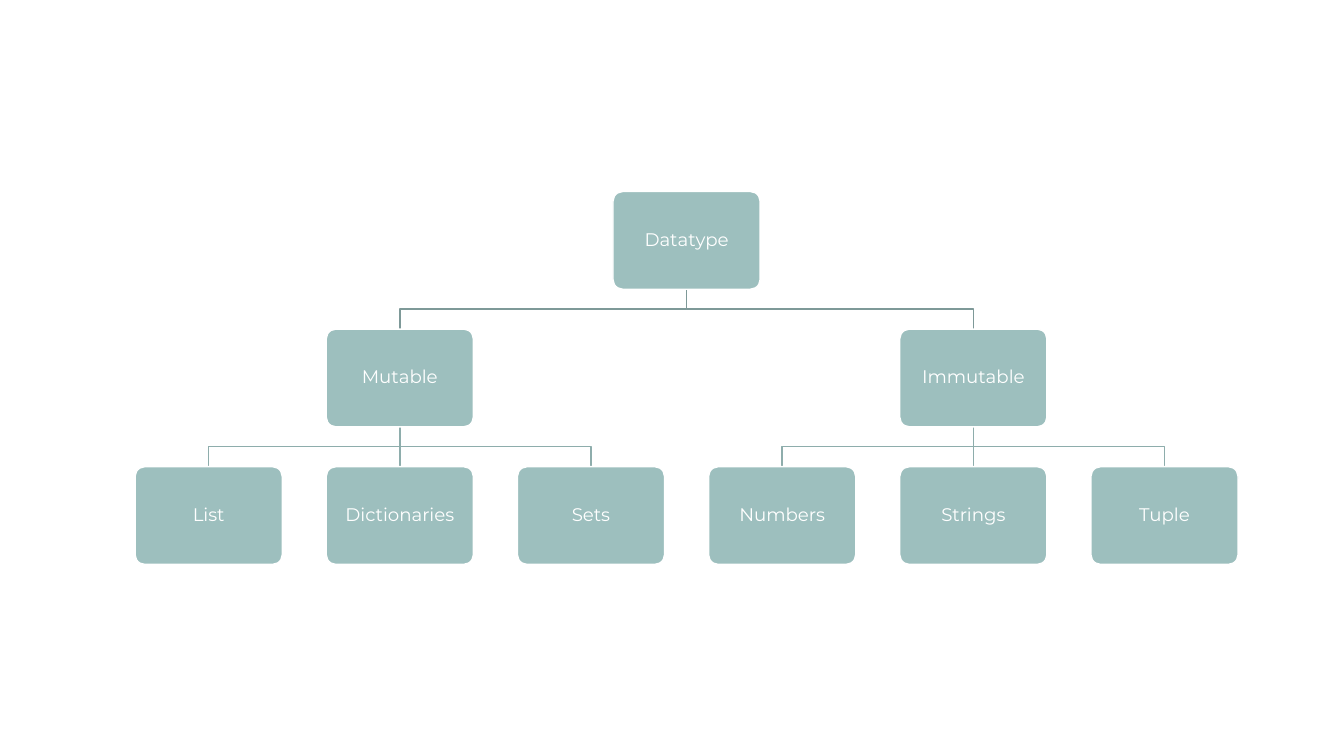
from lxml import etree
from pptx import Presentation
from pptx.dml.color import RGBColor
from pptx.enum.shapes import MSO_CONNECTOR, MSO_SHAPE
from pptx.enum.text import MSO_ANCHOR, PP_ALIGN
from pptx.oxml.ns import qn
from pptx.util import Inches, Pt

ROUND = MSO_SHAPE.ROUNDED_RECTANGLE
STRAIGHT = MSO_CONNECTOR.STRAIGHT
MIDDLE = MSO_ANCHOR.MIDDLE
CENTER = PP_ALIGN.CENTER

COLORS = {"box": "9DBFBE", "white": "FFFFFF", "trunk": "7E9998", "branch": "8EADAC"}
FONT = "Montserrat"
WIDTH, HEIGHT = 1.46, 0.97
LEFT, TOP = 1.34, 1.9
COL_STEP = (10.82 - LEFT) / 5
ROW_STEP = (4.63 - TOP) / 2

# Each node: name, column, children
TREE = ("Datatype", 2.5, [
    ("Mutable", 1, [("List", 0, []), ("Dictionaries", 1, []), ("Sets", 2, [])]),
    ("Immutable", 4, [("Numbers", 3, []), ("Strings", 4, []), ("Tuple", 5, [])]),
])


def color(name):
    return RGBColor.from_string(COLORS[name])


def add_box(slide, name, col, row):
    box = slide.shapes.add_shape(
        ROUND, Inches(LEFT + col * COL_STEP), Inches(TOP + row * ROW_STEP),
        Inches(WIDTH), Inches(HEIGHT))
    box.adjustments[0] = 0.1
    box.shadow.inherit = False
    box.fill.solid()
    box.fill.fore_color.rgb = color("box")
    box.line.color.rgb = color("white")
    box.line.width = Pt(1)

    frame = box.text_frame
    frame.word_wrap = True
    frame.vertical_anchor = MIDDLE
    frame.margin_left = frame.margin_right = Inches(0.08)
    frame.margin_top = frame.margin_bottom = Inches(0.08)
    frame.text = name
    para = frame.paragraphs[0]
    para.alignment = CENTER
    para.line_spacing = 0.9
    font = para.runs[0].font
    font.name = FONT
    font.size = Pt(13)
    font.color.rgb = color("white")


def add_link(slide, start, end, row):
    """Join a parent in column start to a child one row below in column end."""
    x1, x2 = (Inches(LEFT + WIDTH / 2 + col * COL_STEP) for col in (start, end))
    y1 = Inches(TOP + HEIGHT + row * ROW_STEP)
    y2 = Inches(TOP + (row + 1) * ROW_STEP)
    if x1 == x2:
        link = slide.shapes.add_connector(STRAIGHT, x1, y1, x2, y2)
        etree.SubElement(link._element.spPr, qn("a:effectLst"))
    else:
        mid = (y1 + y2) // 2
        path = slide.shapes.build_freeform(x1, y1)
        path.add_line_segments([(x1, mid), (x2, mid), (x2, y2)], close=False)
        link = path.convert_to_shape()
        link.fill.background()
        link.shadow.inherit = False
    link.line.color.rgb = color("branch" if row else "trunk")
    link.line.width = Pt(1)


def add_tree(slide, node, row=0):
    name, col, kids = node
    for kid in kids:
        add_link(slide, col, kid[1], row)
        add_tree(slide, kid, row + 1)
    add_box(slide, name, col, row)


def main():
    deck = Presentation()
    deck.slide_width, deck.slide_height = Inches(13.33), Inches(7.5)
    slide = deck.slides.add_slide(deck.slide_layouts[6])
    add_tree(slide, TREE)
    deck.save("out.pptx")


if __name__ == "__main__":
    main()
